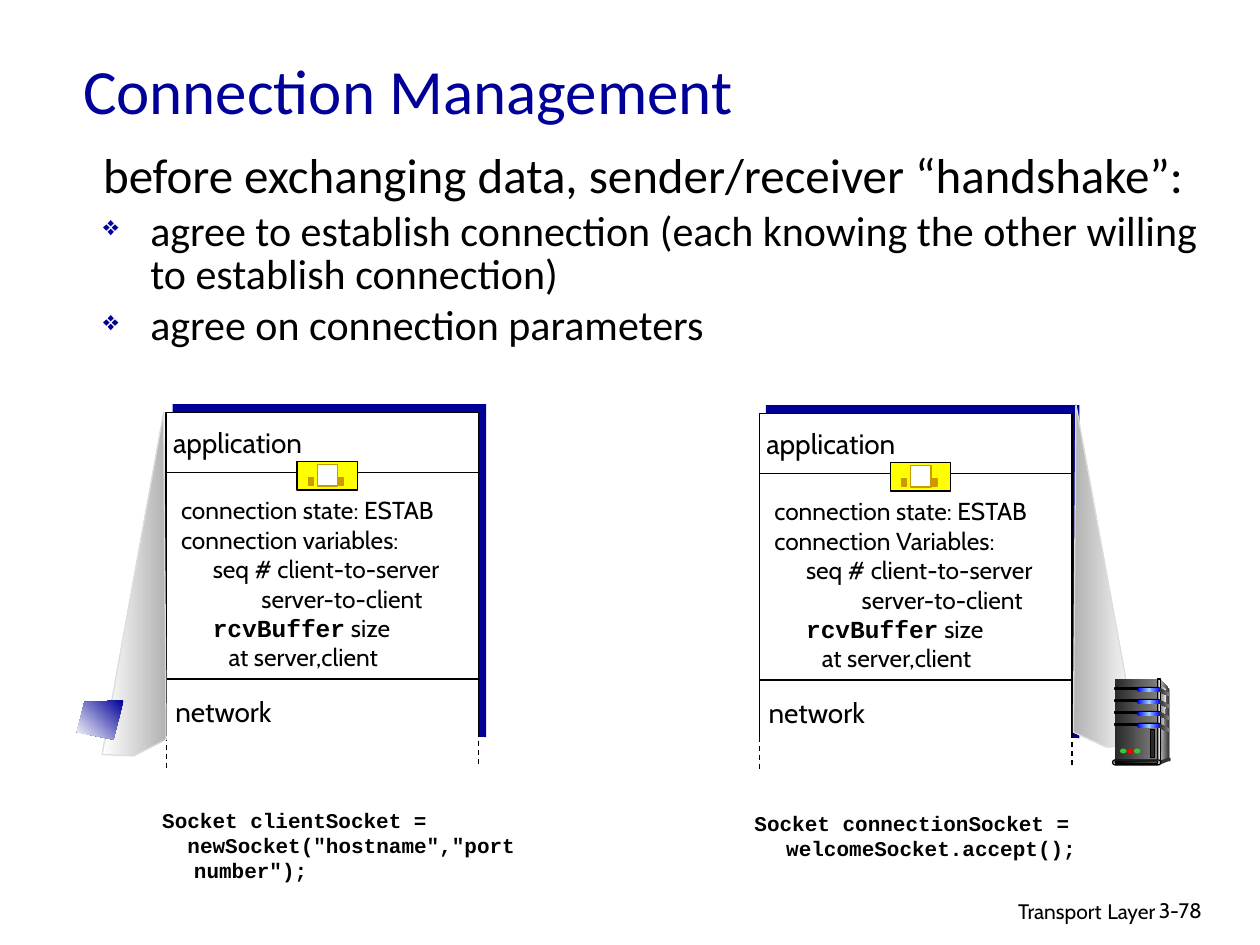
from dataclasses import dataclass

from lxml import etree
from pptx import Presentation
from pptx import util as u
from pptx.dml.color import RGBColor
from pptx.enum import dml, shapes, text
from pptx.oxml import ns

Cm, Pt = u.Cm, u.Pt
RECT = shapes.MSO_SHAPE.RECTANGLE
PILL = shapes.MSO_SHAPE.ROUNDED_RECTANGLE
OVAL = shapes.MSO_SHAPE.OVAL


@dataclass(frozen=True)
class Theme:
    navy: str = "000099"
    black: str = "000000"
    white: str = "FFFFFF"
    yellow: str = "FFFF00"
    ochre: str = "CC9900"
    dark: str = "292929"
    iron: str = "333333"
    grey: str = "808080"
    silver: str = "B2B2B2"
    pale: str = "DDDDDD"
    shine: str = "F8F8F8"
    green: str = "33CC33"
    red: str = "FF0000"
    blue: str = "0000FF"
    sky: str = "99CCFF"
    heading: str = "Calibri"
    label: str = "Cabin"
    code: str = "Courier New"
    title_size: int = 36
    lead_size: int = 28
    bullet_size: int = 24
    layer_size: int = 16
    state_size: int = 14
    small_size: int = 12
    hairline: float = 0.75


THEME = Theme()
TITLE = dict(name=THEME.heading, size=Pt(THEME.title_size))
LAYER = dict(name=THEME.label, size=Pt(THEME.layer_size))
STATE = dict(name=THEME.label, size=Pt(THEME.state_size))
FOOTER = dict(name=THEME.label, size=Pt(THEME.small_size))
CODE = dict(name=THEME.code, size=Pt(THEME.small_size), bold=True)
VARIABLE = dict(name=THEME.code, size=Pt(THEME.state_size), bold=True)


def lengths(*values):
    return [Cm(value) for value in values]


def apply(target, values):
    for name, value in values.items():
        setattr(target, name, value)


def paint(shape, fill, line=None, angle=0):
    """Fill with one colour, or with a gradient when given several."""
    shape.shadow.inherit = False
    if isinstance(fill, str):
        shape.fill.solid()
        shape.fill.fore_color.rgb = RGBColor.from_string(fill)
    else:
        shape.fill.gradient()
        shape.fill.gradient_angle = angle
        stops = shape._element.spPr.find(".//" + ns.qn("a:gsLst"))
        stops.clear()
        for index, color in enumerate(fill):
            position = str(round(100000 * index / (len(fill) - 1)))
            stop = etree.SubElement(stops, ns.qn("a:gs"), pos=position)
            etree.SubElement(stop, ns.qn("a:srgbClr"), val=color)
    if line:
        shape.line.color.rgb = RGBColor.from_string(line)
        shape.line.width = Pt(THEME.hairline)
    else:
        shape.line.fill.background()


def add_block(slide, box, fill, line=None, kind=RECT):
    shape = slide.shapes.add_shape(kind, *lengths(*box))
    if kind == PILL:
        shape.adjustments[0] = 0.5
    paint(shape, fill, line)


def add_outline(slide, points, fill, line=None, angle=0):
    start, *rest = [lengths(*point) for point in points]
    builder = slide.shapes.build_freeform(*start)
    builder.add_line_segments(rest, close=True)
    paint(builder.convert_to_shape(), fill, line, angle)


def add_line(slide, start, end, dashed=False):
    line = slide.shapes.add_connector(shapes.MSO_CONNECTOR.STRAIGHT, *lengths(*start, *end))
    line.line.color.rgb = RGBColor.from_string(THEME.black)
    line.line.width = Pt(THEME.hairline)
    if dashed:
        line.line.dash_style = dml.MSO_LINE.DASH
    etree.SubElement(line._element.spPr, ns.qn("a:effectLst"))


def add_run(paragraph, words, font, color=THEME.black):
    run = paragraph.add_run()
    run.text = words
    apply(run.font, font)
    run.font.color.rgb = RGBColor.from_string(color)


def indent(paragraph, left, first=0):
    properties = paragraph._p.get_or_add_pPr()
    properties.set("marL", str(Cm(left)))
    properties.set("indent", str(Cm(first)))
    return properties


def add_text(slide, box, lines, align=None, wrap=True):
    """Each line is (left indent, first-line indent, [(words, font), ...])."""
    frame = slide.shapes.add_textbox(*lengths(*box)).text_frame
    frame.word_wrap = wrap
    for index, (left, first, runs) in enumerate(lines):
        paragraph = frame.add_paragraph() if index else frame.paragraphs[0]
        indent(paragraph, left, first)
        paragraph.alignment = align
        for words, font in runs:
            add_run(paragraph, words, font)
    return frame


def add_title(slide, words):
    title = slide.shapes.title
    apply(title, dict(zip(("left", "top", "width", "height"), lengths(1.42, 0.53, 21.59, 2.54))))
    title.text_frame.vertical_anchor = text.MSO_ANCHOR.MIDDLE
    paragraph = title.text_frame.paragraphs[0]
    paragraph.alignment = text.PP_ALIGN.LEFT
    add_run(paragraph, words, TITLE, THEME.navy)


def add_body(slide, lead, bullets):
    sizes = [THEME.lead_size] + [THEME.bullet_size] * len(bullets)
    lines = [(0.95, -0.95, [(words, dict(name=THEME.heading, size=Pt(size)))])
             for words, size in zip([lead, *bullets], sizes)]
    frame = add_text(slide, (1.83, 2.97, 23.16, 6.07), lines)
    for paragraph, size in zip(frame.paragraphs, sizes):
        apply(paragraph, dict(line_spacing=0.85, space_before=Pt(0.2 * size)))
    for paragraph in frame.paragraphs[1:]:
        properties = paragraph._p.get_or_add_pPr()
        color = etree.SubElement(properties, ns.qn("a:buClr"))
        etree.SubElement(color, ns.qn("a:srgbClr"), val=THEME.navy)
        etree.SubElement(properties, ns.qn("a:buSzPct"), val="65000")
        etree.SubElement(properties, ns.qn("a:buChar"), char="❖")


def add_stack(slide, x, y, variables, server_indent):
    """Protocol stack whose white box has its top left corner at x, y."""
    def at(left, top, *size):
        return (x + left, y + top, *size)

    add_block(slide, at(0.13, -0.16, 6.32, 6.71), THEME.navy)
    add_block(slide, at(0, 0, 6.3, 6.86), THEME.white, THEME.black)
    for height in (1.22, 5.38):
        add_line(slide, at(0, height), at(6.32, height))
    # Connection state
    add_text(slide, at(0.05, 1.55, 6.48, 4.39), [
        (0, 0, [("connection state: ESTAB", STATE)]),
        (0, 0, [(variables, STATE)]),
        (0.64, 0, [("seq # client-to-server", STATE)]),
        (server_indent, 0, [("server-to-client", STATE)]),
        (0.64, 0, [("rcvBuffer", VARIABLE), (" size", STATE)]),
        (0.96, 0, [("at server,client", STATE)])])
    # Socket
    add_block(slide, at(2.64, 0.99, 1.22, 0.58), THEME.yellow, THEME.black)
    add_block(slide, at(3.05, 1.06, 0.41, 0.43), THEME.white, THEME.ochre)
    for left in (2.87, 3.48):
        add_block(slide, at(left, 1.32, 0.1, 0.15), THEME.ochre, THEME.ochre)
    # Layer names
    for words, box in (("application", at(-0.15, 0.15, 3.18, 0.94)),
                       ("network", at(-0.1, 5.56, 2.51, 0.94))):
        add_text(slide, box, [(0, 0, [(words, LAYER)])], text.PP_ALIGN.CENTER, wrap=False)
    # Open lower end
    add_block(slide, at(-0.07, 6.55, 6.48, 0.51), THEME.white)
    for left, top in ((0, 6.52), (6.3, 6.45)):
        add_line(slide, at(left, top), at(left, top + 0.66), dashed=True)


def add_server(slide):
    metal = (THEME.dark, THEME.grey)
    # Cabinet
    add_outline(slide, [(23.39, 13.69), (23.57, 13.89), (23.57, 15.27), (23.34, 15.34)],
                (THEME.pale, THEME.iron))
    add_block(slide, (22.48, 13.69, 0.86, 1.65), metal)
    add_outline(slide, [(23.39, 13.79), (23.52, 13.92), (23.39, 15.29)], (THEME.grey, THEME.shine))
    add_block(slide, (23.34, 13.69, 0.05, 1.65), (THEME.iron, THEME.pale, THEME.iron), THEME.black)
    # Drives, each with a vent on the side
    for y in (13.87 + 0.24 * index for index in range(4)):
        add_block(slide, (22.48, y, 0.48, 0.03), THEME.black, THEME.black)
        add_block(slide, (22.92, y - 0.02, 0.48, 0.1), THEME.black, kind=PILL)
        add_block(slide, (22.93, y, 0.46, 0.08), (THEME.blue, THEME.sky, THEME.blue), kind=PILL)
        add_outline(slide, [(23.37, y), (23.57, y + 0.1), (23.57, y + 0.17), (23.37, y + 0.08)], metal)
    # Foot, lamps and handle
    add_block(slide, (23.55, 15.27, 0.05, 0.08), THEME.iron, kind=OVAL)
    add_outline(slide, [(23.37, 15.34), (23.37, 15.42), (23.57, 15.34), (23.57, 15.27)], THEME.iron)
    add_block(slide, (22.43, 15.32, 0.97, 0.1), THEME.pale, THEME.black, PILL)
    add_block(slide, (22.48, 15.34, 0.86, 0.05), (THEME.black, THEME.grey), THEME.black, PILL)
    for index, color in enumerate((THEME.green, THEME.red, THEME.green)):
        add_block(slide, (22.58 + 0.14 * index, 15.09, 0.13, 0.1), color, kind=OVAL)
    add_block(slide, (23.19, 14.71, 0.08, 0.56), THEME.dark, THEME.black)


def main():
    presentation = Presentation()
    presentation.slide_width, presentation.slide_height = lengths(25.4, 19.05)
    slide = presentation.slides.add_slide(presentation.slide_layouts[5])

    add_title(slide, "Connection Management")
    add_body(slide, "before exchanging data, sender/receiver “handshake”:",
             ["agree to establish connection (each knowing the other willing to establish connection)",
              "agree on connection parameters"])

    # Client and server stacks with their beams
    beam = (THEME.silver, THEME.white)
    add_stack(slide, 3.35, 8.31, "connection variables:", 1.62)
    add_outline(slide, [(2.06, 15.21), (3.3, 8.31), (3.35, 14.91), (2.69, 15.24)],
                beam, THEME.pale, angle=180)
    add_stack(slide, 15.31, 8.33, "connection Variables:", 1.76)
    add_outline(slide, [(22.94, 15.04), (21.69, 8.15), (21.64, 14.76), (22.3, 15.06)],
                beam, THEME.pale)

    # Socket calls
    add_text(slide, (3.02, 16.15, 8.03, 1.78), [
        (0.64, -0.64, [("Socket clientSocket =", CODE)]),
        (0.64, -0.13, [('newSocket("hostname","port number");', CODE)])])
    add_text(slide, (14.96, 16.21, 8.03, 1.27), [
        (0.64, -0.64, [("Socket connectionSocket = welcomeSocket.accept();", CODE)])])

    # Client screen and server
    add_outline(slide, [(2.49, 14.12), (1.7, 14.15), (1.55, 14.76), (2.29, 14.91)],
                (THEME.navy, THEME.white), angle=225)
    add_server(slide)

    # Footer
    add_text(slide, (15.49, 17.91, 8.05, 0.79),
             [(0, 0, [("Transport", FOOTER), (" ", STATE), ("Layer", FOOTER)])], text.PP_ALIGN.RIGHT)
    add_text(slide, (23.11, 17.96, 1.88, 0.76), [(0, 0, [("3-78", FOOTER)])])
    presentation.save("out.pptx")


if __name__ == "__main__":
    main()
